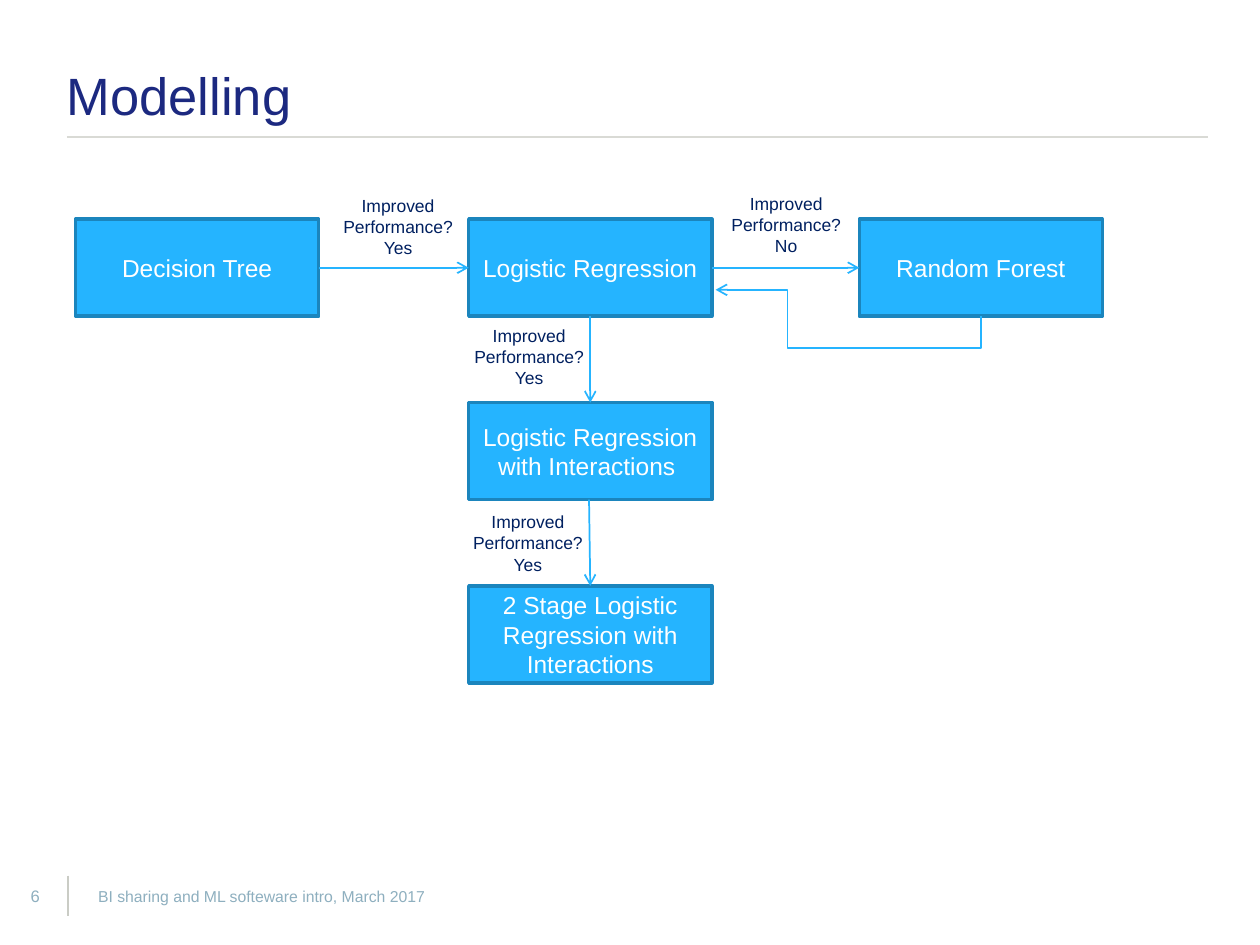
from lxml.etree import SubElement
from pptx import Presentation
from pptx.dml.color import RGBColor
from pptx.enum.shapes import MSO_CONNECTOR, MSO_SHAPE
from pptx.enum.text import MSO_ANCHOR, MSO_AUTO_SIZE, PP_ALIGN
from pptx.oxml.ns import qn
from pptx.util import Emu, Pt

PX = 9144  # 100 px to the inch
COLORS = {
    "title": "1C2980", "box": "25B4FF", "edge": "1B85BD", "white": "FFFFFF",
    "label": "002060", "footer": "8EAFBF", "rule": "D9DAD5", "divider": "CACCC5",
}
BOX_W, BOX_H = 193, 77
LABEL_W, LABEL_H = 104, 61


def px(length):
    return Emu(round(length * PX))


def color(name):
    return RGBColor.from_string(COLORS[name])


def write(shape, text, size, tint, align=PP_ALIGN.LEFT, anchor=MSO_ANCHOR.MIDDLE,
          insets=(10, 5, 10, 5)):
    frame = shape.text_frame
    frame.text = text
    frame.word_wrap = True
    frame.auto_size = MSO_AUTO_SIZE.NONE
    frame.vertical_anchor = anchor
    (frame.margin_left, frame.margin_top,
     frame.margin_right, frame.margin_bottom) = map(px, insets)
    for para in frame.paragraphs:
        para.alignment = align
        para.font.name = "Arial"
        para.font.size = Pt(size)
        para.font.color.rgb = color(tint)


def add_text(page, left, top, width, height, text, size, tint, **layout):
    box = page.shapes.add_textbox(px(left), px(top), px(width), px(height))
    write(box, text, size, tint, **layout)


def add_line(page, start, end, tint, width, kind=MSO_CONNECTOR.STRAIGHT, arrow=False):
    line = page.shapes.add_connector(kind, *map(px, start + end))
    line.line.color.rgb = color(tint)
    line.line.width = Pt(width)
    if arrow:
        SubElement(line.line._get_or_add_ln(), qn("a:tailEnd"), type="arrow")
    SubElement(line._element.spPr, qn("a:effectLst"))
    return line


def add_return_arrow(page, start, end, drop, turn):
    """Elbow that leaves downwards, runs left to turn, rises and ends leftwards."""
    run, rise = start[0] - end[0], start[1] - end[1]
    middle_x, middle_y = (start[0] + end[0]) / 2, (start[1] + end[1]) / 2
    left, top = middle_x - rise / 2, middle_y - run / 2
    line = add_line(page, (left, top), (left + rise, top + run), "box", 1,
                    MSO_CONNECTOR.ELBOW, arrow=True)
    properties = line._element.spPr
    frame = properties.find(qn("a:xfrm"))
    frame.set("rot", "5400000")
    frame.set("flipH", "1")
    shape = properties.find(qn("a:prstGeom"))
    shape.set("prst", "bentConnector4")
    guides = shape.find(qn("a:avLst"))
    ratios = {"adj1": -drop / rise, "adj2": (start[0] - turn) / run}
    for name, ratio in ratios.items():
        SubElement(guides, qn("a:gd"), name=name, fmla=f"val {round(ratio * 100000)}")


def add_title(page, left, top, width, height):
    title = page.shapes.title
    title.left, title.top, title.width, title.height = map(px, (left, top, width, height))
    write(title, "Modelling", 30, "title", anchor=MSO_ANCHOR.BOTTOM, insets=(0, 0, 0, 0))
    title.text_frame.paragraphs[0].line_spacing = 0.9
    rule_y = top + height + 8
    add_line(page, (left, rule_y), (left + width, rule_y), "rule", 1.25)


def add_footer(page, left, top):
    add_text(page, left, top + 12, 24, 16, "6", 9.5, "footer",
             align=PP_ALIGN.CENTER, insets=(0, 0, 0, 0))
    add_line(page, (left + 38, top + 4), (left + 38, top + 36), "divider", 0.75)
    add_text(page, left + 52, top, 626, 40,
             "BI sharing and ML softeware intro, March 2017", 9, "footer")


def add_step(page, left, top, text):
    step = page.shapes.add_shape(MSO_SHAPE.RECTANGLE, px(left), px(top), px(BOX_W), px(BOX_H))
    step.shadow.inherit = False
    step.fill.solid()
    step.fill.fore_color.rgb = color("box")
    step.line.color.rgb = color("edge")
    step.line.width = Pt(2)
    write(step, text, 14, "white", align=PP_ALIGN.CENTER)


def add_flow(page, left, top):
    # Steps: one row across, one column down
    first, second, third = left, left + 312, left + 622
    row_1, row_2, row_3 = (top + 145.5 * row for row in range(3))
    steps = [
        (first, row_1, "Decision Tree"),
        (second, row_1, "Logistic Regression"),
        (third, row_1, "Random Forest"),
        (second, row_2, "Logistic Regression\nwith Interactions "),
        (second, row_3, "2 Stage Logistic Regression with Interactions"),
    ]
    for step in steps:
        add_step(page, *step)

    # Arrows between steps
    row_y = row_1 + BOX_H / 2
    column_x = second + BOX_W / 2
    add_line(page, (first + BOX_W, row_y), (second, row_y), "box", 1, arrow=True)
    add_line(page, (second + BOX_W, row_y), (third, row_y), "box", 1,
             MSO_CONNECTOR.ELBOW, arrow=True)
    for upper, lower, shift in ((row_1, row_2, 0), (row_2, row_3, 1)):
        add_line(page, (column_x - shift, upper + BOX_H), (column_x, lower),
                 "box", 1, arrow=True)
    add_return_arrow(page, (third + BOX_W / 2, row_1 + BOX_H),
                     (second + BOX_W + 3, row_1 + 56), drop=25, turn=left + 565)

    # Questions beside the arrows
    questions = [
        (left + 201, top - 24, "Yes"),
        (left + 509, top - 26, "No"),
        (left + 305, top + 79, "Yes"),
        (left + 304, top + 227, "Yes"),
    ]
    for x, y, answer in questions:
        add_text(page, x, y, LABEL_W, LABEL_H, f"Improved Performance? {answer}", 10,
                 "label", align=PP_ALIGN.CENTER, anchor=MSO_ANCHOR.TOP, insets=(10, 5, 4, 5))


def main():
    deck = Presentation()
    deck.slide_width, deck.slide_height = px(1000), px(750)
    page = deck.slides.add_slide(deck.slide_layouts[5])
    add_title(page, 53, 8, 906, 93)
    add_footer(page, 16, 691)
    add_flow(page, 60, 174)
    deck.save("out.pptx")


if __name__ == "__main__":
    main()
